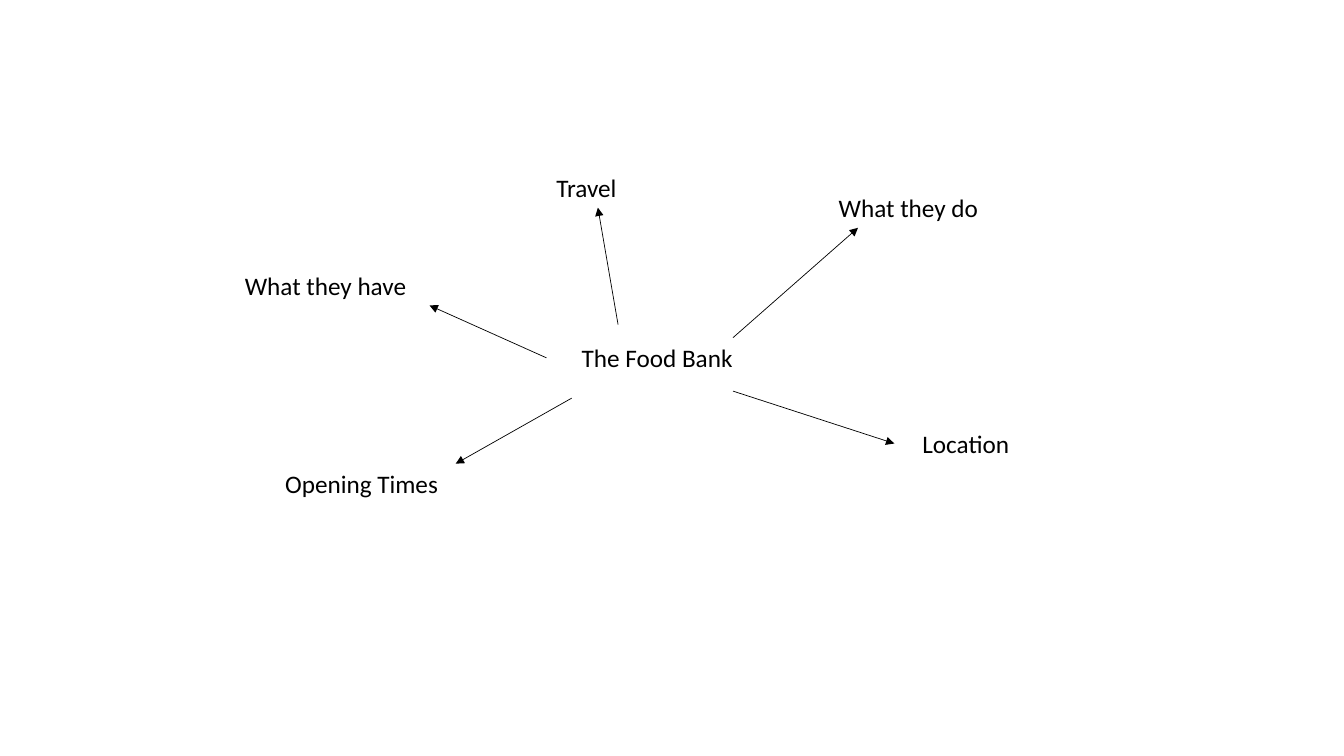
"""Build a spider diagram about the food bank."""
from dataclasses import dataclass

from lxml.etree import SubElement
from pptx import Presentation
from pptx.dml.color import RGBColor
from pptx.enum.shapes import MSO_CONNECTOR as Connector
from pptx.enum.text import MSO_AUTO_SIZE as AutoSize
from pptx.oxml.ns import qn
from pptx.slide import Slide
from pptx.util import Emu, Pt

EMU_PER_PX = 9144
LABEL_HEIGHT = 40
COLOURS = {"background": "FFFFFF", "ink": "000000"}


@dataclass(frozen=True)
class Label:
    text: str
    left: int
    top: int
    width: int = 249


@dataclass(frozen=True)
class Arrow:
    start: tuple[int, int]
    end: tuple[int, int]


LABELS = [
    Label("The Food Bank", 567, 335, 199),
    Label("Travel", 542, 166),
    Label("Location", 905, 420),
    Label("Opening Times", 273, 460),
    Label("What they do", 822, 186),
    Label("What they have", 233, 263),
]
ARROWS = [
    Arrow((613, 322), (593, 206)),
    Arrow((727, 335), (851, 226)),
    Arrow((542, 355), (426, 303)),
    Arrow((567, 395), (452, 460)),
    Arrow((727, 388), (887, 440)),
]


def px(length: int) -> Emu:
    return Emu(length * EMU_PER_PX)


def colour(name: str) -> RGBColor:
    return RGBColor.from_string(COLOURS[name])


def draw_label(slide: Slide, label: Label) -> None:
    shape = slide.shapes.add_textbox(
        px(label.left), px(label.top), px(label.width), px(LABEL_HEIGHT)
    )
    text_frame = shape.text_frame
    text_frame.word_wrap = True
    text_frame.auto_size = AutoSize.SHAPE_TO_FIT_TEXT
    text_frame.text = label.text
    font = text_frame.paragraphs[0].runs[0].font
    font.name = "Calibri"
    font.size = Pt(18)
    font.color.rgb = colour("ink")


def draw_arrow(slide: Slide, arrow: Arrow) -> None:
    points = [px(length) for length in arrow.start + arrow.end]
    connector = slide.shapes.add_connector(Connector.STRAIGHT, *points)
    connector.line.color.rgb = colour("ink")
    connector.line.width = Pt(0.5)
    properties = connector.line._get_or_add_ln()
    SubElement(properties, qn("a:tailEnd"), type="triangle")
    SubElement(connector._element.spPr, qn("a:effectLst"))


def main() -> None:
    presentation = Presentation()
    presentation.slide_width = px(1333)
    presentation.slide_height = px(750)
    slide = presentation.slides.add_slide(presentation.slide_layouts[6])
    fill = slide.background.fill
    fill.solid()
    fill.fore_color.rgb = colour("background")
    for label in LABELS:
        draw_label(slide, label)
    for arrow in ARROWS:
        draw_arrow(slide, arrow)
    presentation.save("out.pptx")


if __name__ == "__main__":
    main()
